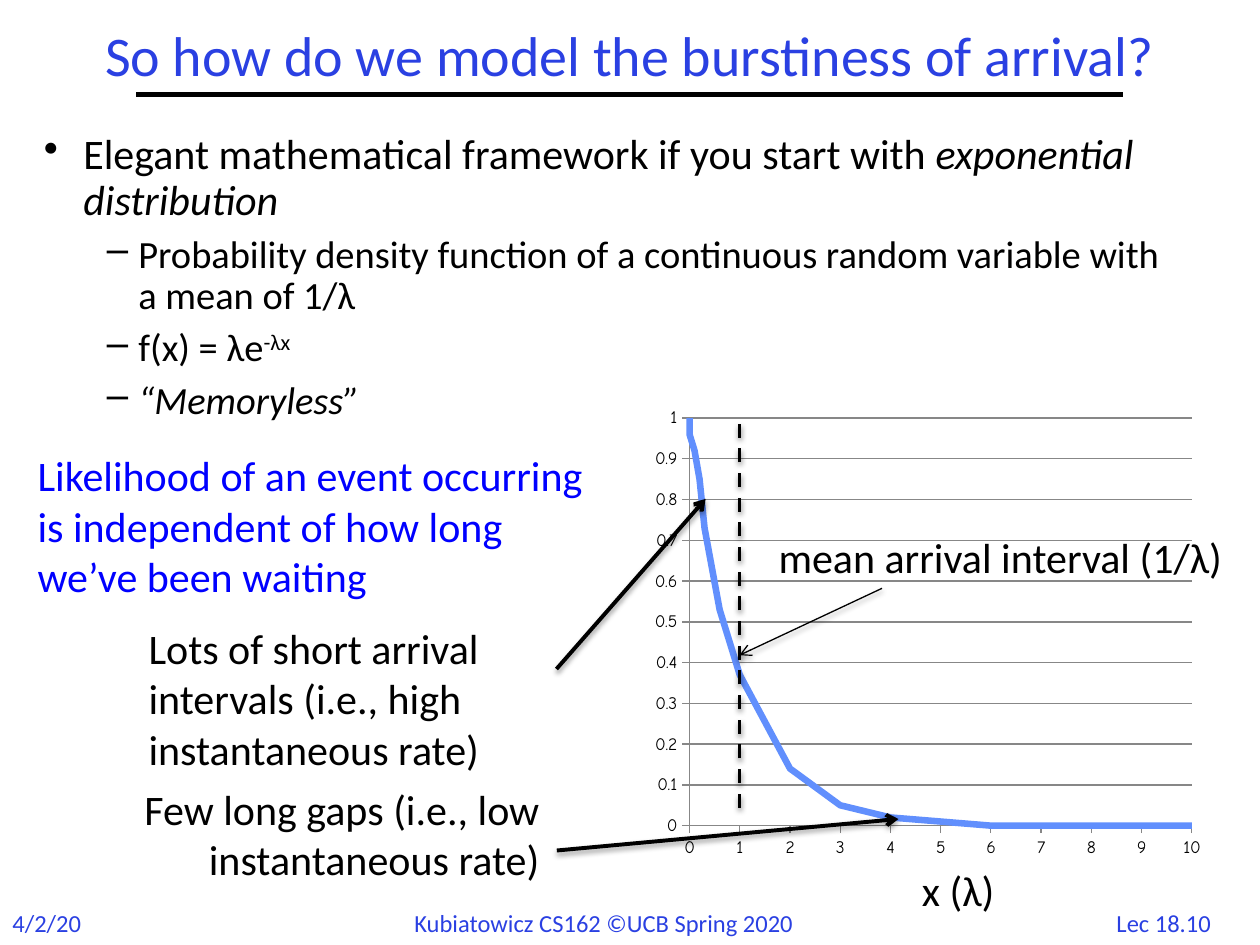
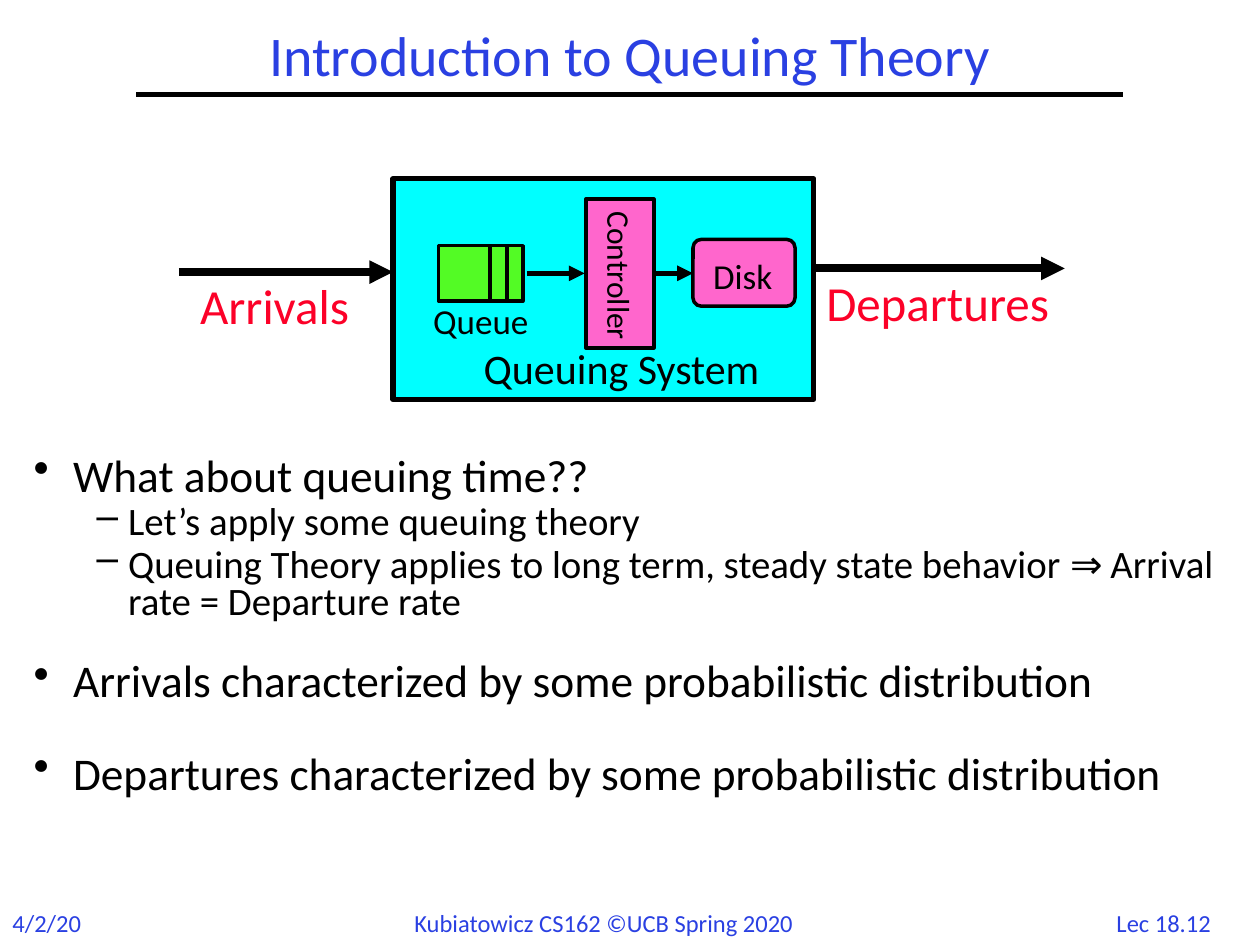
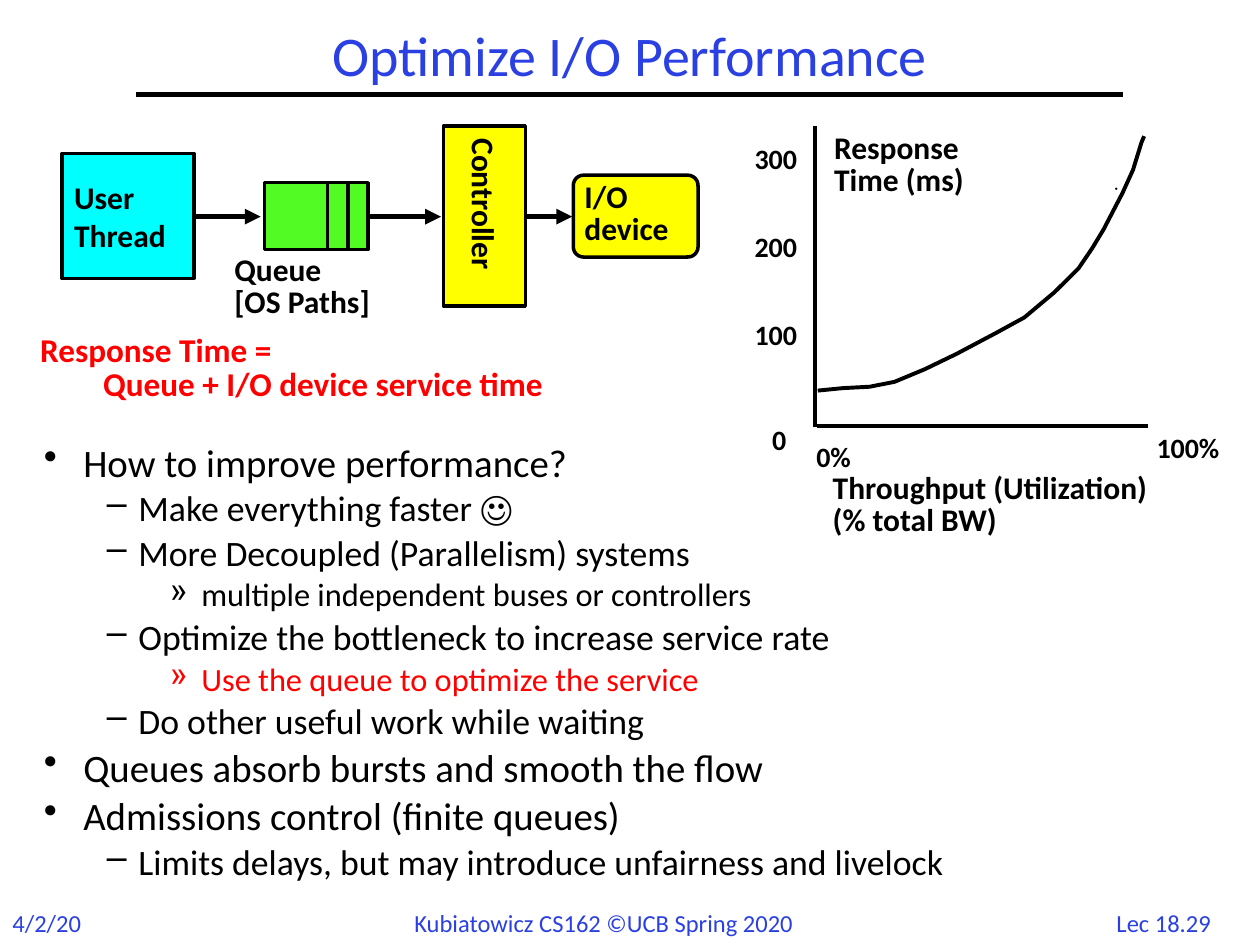
from dataclasses import dataclass
from typing import NamedTuple

from lxml.etree import SubElement
from pptx import Presentation
from pptx.chart.data import XyChartData
from pptx.dml.color import RGBColor
from pptx.enum.chart import XL_CHART_TYPE, XL_TICK_MARK
from pptx.enum.dml import MSO_LINE
from pptx.enum.shapes import MSO_CONNECTOR, MSO_SHAPE
from pptx.enum.text import MSO_ANCHOR, MSO_AUTO_SIZE, PP_ALIGN
from pptx.oxml import parse_xml
from pptx.oxml.ns import nsdecls, qn
from pptx.util import Pt

# Shared look
COLORS = {
    "black": "000000", "title": "2A40E2", "note": "0000FF", "flow": "FC0128",
    "red": "FF0000", "cyan": "00FFFF", "pink": "FF66CC", "green": "53FB25",
    "yellow": "FFFF00", "curve": "618FFD", "grid": "878787",
}
FONT = "Calibri"
CHART_FONT = "Comic Neue"
SLIDE_WIDTH, SLIDE_HEIGHT = 720, 540
WIDE_INSETS = (7.2, 3.6)
TIGHT_INSETS = (5, 2.2)
BULLETS = {0: ("•", 22.5, -22.5), 1: ("–", 54, -18), 2: ("»", 90, -18)}


class Box(NamedTuple):
    left: float
    top: float
    width: float
    height: float


@dataclass(frozen=True)
class Label:
    box: Box
    lines: tuple[str, ...]
    size: float = 24
    color: str = "black"
    bold: bool = False
    align: PP_ALIGN = PP_ALIGN.LEFT
    wrap: bool = False
    spacing: float = 1.0
    insets: tuple[float, float] = WIDE_INSETS


@dataclass(frozen=True)
class Block:
    box: Box
    fill: str
    kind: MSO_SHAPE = MSO_SHAPE.RECTANGLE
    line_width: float = 2
    lines: tuple[str, ...] = ()
    bold: bool = False
    vertical: bool = False


@dataclass(frozen=True)
class Line:
    start: tuple[float, float]
    end: tuple[float, float]
    width: float = 2
    arrow: str = ""
    dashed: bool = False
    shadow: bool = False


class Run(NamedTuple):
    text: str
    italic: bool = False
    superscript: bool = False


class Bullet(NamedTuple):
    level: int
    runs: tuple[Run, ...]
    color: str = "black"
    space_before: float | None = None


def rgb(name: str) -> RGBColor:
    return RGBColor.from_string(COLORS[name])


def in_points(values) -> list:
    return [Pt(value) for value in values]


# Drawing functions
def format_font(font, size: float, color: str, bold: bool = False) -> None:
    font.name = FONT
    font.size = Pt(size)
    font.bold = bold
    font.color.rgb = rgb(color)


def set_insets(text_frame, insets: tuple[float, float]) -> None:
    text_frame.margin_left = text_frame.margin_right = Pt(insets[0])
    text_frame.margin_top = text_frame.margin_bottom = Pt(insets[1])


def write_lines(text_frame, lines, size, color="black", bold=False,
                align=PP_ALIGN.LEFT, spacing=1.0) -> None:
    for index, line in enumerate(lines):
        paragraph = text_frame.add_paragraph() if index else text_frame.paragraphs[0]
        paragraph.text = line
        paragraph.alignment = align
        paragraph.line_spacing = spacing
        for run in paragraph.runs:
            format_font(run.font, size, color, bold)


def draw_label(slide, label: Label) -> None:
    text_frame = slide.shapes.add_textbox(*in_points(label.box)).text_frame
    text_frame.word_wrap = label.wrap
    text_frame.auto_size = MSO_AUTO_SIZE.SHAPE_TO_FIT_TEXT
    set_insets(text_frame, label.insets)
    write_lines(text_frame, label.lines, label.size, label.color, label.bold,
                label.align, label.spacing)


def draw_block(slide, block: Block) -> None:
    shape = slide.shapes.add_shape(block.kind, *in_points(block.box))
    shape.shadow.inherit = False
    shape.fill.solid()
    shape.fill.fore_color.rgb = rgb(block.fill)
    shape.line.color.rgb = rgb("black")
    shape.line.width = Pt(block.line_width)
    if block.kind == MSO_SHAPE.ROUNDED_RECTANGLE:
        shape.adjustments[0] = 0.125
    if block.lines:
        text_frame = shape.text_frame
        text_frame.word_wrap = False
        text_frame.vertical_anchor = MSO_ANCHOR.MIDDLE
        set_insets(text_frame, WIDE_INSETS)
        write_lines(text_frame, block.lines, 18, bold=block.bold)
        if block.vertical:
            shape._element.txBody.find(qn("a:bodyPr")).set("vert", "eaVert")


def draw_line(slide, line: Line) -> None:
    connector = slide.shapes.add_connector(
        MSO_CONNECTOR.STRAIGHT, *in_points(line.start + line.end))
    connector.line.color.rgb = rgb("black")
    connector.line.width = Pt(line.width)
    if line.dashed:
        connector.line.dash_style = MSO_LINE.DASH
    properties = connector._element.spPr
    if line.arrow:
        SubElement(properties.find(qn("a:ln")), qn("a:tailEnd"), type=line.arrow)
    effects = SubElement(properties, qn("a:effectLst"))
    if line.shadow:
        effects.append(parse_xml(
            f'<a:outerShdw {nsdecls("a")} blurRad="{Pt(3.1)}" dist="{Pt(1.6)}" '
            'dir="5400000" rotWithShape="0"><a:srgbClr val="000000">'
            '<a:alpha val="38000"/></a:srgbClr></a:outerShdw>'))


def draw_bullets(slide, box: Box, bullets, sizes, spacing: float, gap: float) -> None:
    text_frame = slide.shapes.add_textbox(*in_points(box)).text_frame
    text_frame.word_wrap = True
    set_insets(text_frame, WIDE_INSETS)
    for index, bullet in enumerate(bullets):
        paragraph = text_frame.add_paragraph() if index else text_frame.paragraphs[0]
        mark, margin, indent = BULLETS[bullet.level]
        size = sizes[bullet.level]
        properties = paragraph._p.get_or_add_pPr()
        properties.set("marL", str(Pt(margin)))
        properties.set("indent", str(Pt(indent)))
        SubElement(properties, qn("a:buChar"), char=mark)
        paragraph.level = bullet.level
        paragraph.line_spacing = spacing
        if index:
            before = gap * size if bullet.space_before is None else bullet.space_before
            paragraph.space_before = Pt(before)
        for part in bullet.runs:
            run = paragraph.add_run()
            run.text = part.text
            format_font(run.font, size, bullet.color)
            run.font.italic = part.italic
            if part.superscript:
                run.font._element.set("baseline", "30000")


def draw_queue(slide, box: Box) -> None:
    draw_block(slide, Block(box, "green"))
    for share in (0.61, 0.81):
        x = box.left + share * box.width
        draw_line(slide, Line((x, box.top + box.height), (x, box.top - 1)))


def add_slide(presentation, title: str, number: int, title_width: float = 564):
    slide = presentation.slides.add_slide(presentation.slide_layouts[5])
    shape = slide.shapes.title
    shape.left, shape.top, shape.width, shape.height = in_points(
        ((SLIDE_WIDTH - title_width) / 2, 12.2, title_width, 41.8))
    text_frame = shape.text_frame
    text_frame.auto_size = MSO_AUTO_SIZE.NONE
    text_frame.vertical_anchor = MSO_ANCHOR.MIDDLE
    set_insets(text_frame, WIDE_INSETS)
    write_lines(text_frame, (title,), 32, "title", align=PP_ALIGN.CENTER, spacing=0.9)
    draw_line(slide, Line((78, 54), (642, 54), 3))
    footers = (
        (Box(628, 515.5, 74, 24), f"Lec 18.{number}", PP_ALIGN.CENTER),
        (Box(0, 515.5, 54, 24), "4/2/20", PP_ALIGN.LEFT),
        (Box(229.7, 515.5, 261.4, 24), "Kubiatowicz CS162 ©UCB Spring 2020",
         PP_ALIGN.LEFT),
    )
    for box, text, align in footers:
        draw_label(slide, Label(box, (text,), 14, "title", align=align))
    return slide


def draw_density_chart(slide, box: Box) -> None:
    data = XyChartData()
    series = data.add_series("Series 1")
    x_values = (0, 0, 0, 0, 0.1, 0.2, 0.3, 0.6, 1, 2, 3, 4, 5, 6, 7, 8, 10)
    densities = (1, 0.99, 0.98, 0.96, 0.92, 0.85, 0.73, 0.53, 0.37,
                 0.14, 0.05, 0.02, 0.01, 0, 0, 0, 0)
    for x, density in zip(x_values, densities):
        series.add_data_point(x, density)
    chart = slide.shapes.add_chart(
        XL_CHART_TYPE.XY_SCATTER_LINES_NO_MARKERS, *in_points(box), data).chart
    chart.has_legend = False
    chart.has_title = False
    chart.font.name = CHART_FONT
    chart.font.size = Pt(10)
    chart.font.color.rgb = rgb("black")
    plot = chart.plots[0]
    plot.vary_by_categories = False
    curve = plot.series[0]
    curve.smooth = False
    curve.format.line.color.rgb = rgb("curve")
    curve.format.line.width = Pt(3.75)

    for axis, maximum, step in ((chart.category_axis, 10, 1), (chart.value_axis, 1, 0.1)):
        axis.minimum_scale, axis.maximum_scale = 0, maximum
        axis.major_unit = step
        axis.major_tick_mark = XL_TICK_MARK.OUTSIDE
        axis.minor_tick_mark = XL_TICK_MARK.NONE
        axis.tick_labels.number_format = "General"
        axis.tick_labels.number_format_is_linked = False
        axis.format.line.color.rgb = rgb("grid")
    chart.category_axis.has_major_gridlines = False
    chart.value_axis.has_major_gridlines = True
    chart.value_axis.major_gridlines.format.line.color.rgb = rgb("grid")

    # Fixed inner plot area
    plot_area = chart._chartSpace.chart.plotArea
    for old_layout in plot_area.findall(qn("c:layout")):
        plot_area.remove(old_layout)
    places = "".join(f'<c:{key} val="{value}"/>' for key, value in (
        ("layoutTarget", "inner"), ("xMode", "edge"), ("yMode", "edge"),
        ("x", 0.08), ("y", 0.04), ("w", 0.88), ("h", 0.87)))
    plot_area.insert(0, parse_xml(
        f'<c:layout {nsdecls("c")}><c:manualLayout>{places}</c:manualLayout></c:layout>'))


# Slides
def build_burstiness(presentation) -> None:
    slide = add_slide(presentation, "So how do we model the burstiness of arrival?", 10, 668)
    draw_bullets(slide, Box(18, 72.7, 666, 410), (
        Bullet(0, (Run("Elegant mathematical framework if you start with "),
                   Run("exponential distribution", italic=True))),
        Bullet(1, (Run("Probability density function of a continuous random "
                       "variable with a mean of 1/λ"),)),
        Bullet(1, (Run("f(x) = λe"), Run("-λx", superscript=True))),
        Bullet(1, (Run("“Memoryless”", italic=True),)),
    ), (24, 22), 0.9, 0.28)
    draw_density_chart(slide, Box(367.9, 228.2, 326.2, 267.8))
    for label in (
        Label(Box(14.4, 253.4, 336.2, 94.3),
              ("Likelihood of an event occurring is independent of how long "
               "we’ve been waiting",), color="note", wrap=True),
        Label(Box(77.8, 352.1, 290.9, 94.3),
              ("Lots of short arrival intervals (i.e., high instantaneous rate)",),
              wrap=True),
        Label(Box(43.9, 444.2, 271.4, 65.5),
              ("Few long gaps (i.e., low instantaneous rate)",),
              align=PP_ALIGN.RIGHT, wrap=True),
        Label(Box(519.8, 490.3, 60.5, 36), ("x (λ)",)),
        Label(Box(437.8, 300.2, 274.3, 36), ("mean arrival interval (1/λ)",)),
    ):
        draw_label(slide, label)
    for line in (
        Line((318, 382.3), (403.2, 285.1), 2.25, "arrow", shadow=True),
        Line((318.2, 486), (513.4, 468), 2.25, "arrow", shadow=True),
        Line((422.6, 461.5), (422.6, 239.8), dashed=True, shadow=True),
        Line((504, 336.2), (422.6, 374.4), 0.75, "arrow", shadow=True),
    ):
        draw_line(slide, line)


def build_queuing_theory(presentation) -> None:
    slide = add_slide(presentation, "Introduction to Queuing Theory", 12)
    # Flow in and out of the system
    draw_label(slide, Label(Box(465.1, 151.9, 145.4, 41), ("Departures",), 28, "flow"))
    draw_label(slide, Label(Box(107.3, 154.1, 103, 41), ("Arrivals",), 28, "flow"))
    draw_line(slide, Line((455.8, 153.4), (608.4, 153.4), 4.5, "triangle"))
    draw_line(slide, Line((102.2, 155.5), (224.6, 155.5), 4.5, "triangle"))
    draw_block(slide, Block(Box(224.6, 102.2, 240.5, 126), "cyan", line_width=3))
    draw_label(slide, Label(Box(269.3, 192.2, 174.2, 36), ("Queuing System",)))

    # Parts of the system
    draw_block(slide, Block(Box(396, 136.8, 58.3, 38.2), "pink",
                            MSO_SHAPE.ROUNDED_RECTANGLE))
    draw_queue(slide, Box(250.6, 140.4, 48.2, 31.7))
    draw_block(slide, Block(Box(334.8, 113.8, 38.9, 85), "pink",
                            lines=("Controller",), vertical=True))
    for box, text in ((Box(242.6, 172.8, 67, 46), "Queue"),
                      (Box(402.5, 146.9, 47.5, 25.2), "Disk")):
        draw_label(slide, Label(box, (text,), 20, spacing=0.85, insets=TIGHT_INSETS))
    for start, end in ((301, 334.1), (373.7, 396)):
        draw_line(slide, Line((start, 156.2), (end, 156.2), 3, "triangle"))

    draw_bullets(slide, Box(12.2, 257.8, 696.2, 259.2), (
        Bullet(0, (Run("What about queuing time??"),)),
        Bullet(1, (Run("Let’s apply some queuing theory"),)),
        Bullet(1, (Run("Queuing Theory applies to long term, steady state behavior "
                       "⇒ Arrival rate = Departure rate"),)),
        Bullet(0, (Run("Arrivals characterized by some probabilistic distribution"),),
               space_before=23),
        Bullet(0, (Run("Departures characterized by some probabilistic distribution"),),
               space_before=28),
    ), (25.9, 22.2), 0.8, 0.13)


def draw_response_plot(slide) -> None:
    draw_line(slide, Line((465.8, 244), (465.8, 72)))
    draw_line(slide, Line((466.6, 243.4), (656, 243.4)))
    ticks = [(Box(655.9, 246.2, 52.6, 21.6), "100%"),
             (Box(461.5, 251.3, 33.8, 21.6), "0%"),
             (Box(436.3, 241.2, 18.7, 21.6), "0")]
    ticks += [(Box(426.2, 231.8 - 50.4 * step, 36.7, 21.6), str(100 * step))
              for step in (1, 2, 3)]
    for box, text in ticks:
        draw_label(slide, Label(box, (text,), 16, bold=True, spacing=0.9,
                                insets=TIGHT_INSETS))
    for box, lines in (
        (Box(471.6, 74.2, 97.2, 41.8), ("Response", "Time (ms)")),
        (Box(470.9, 268.6, 227.5, 41), ("Throughput (Utilization)", "(% total BW)")),
    ):
        draw_label(slide, Label(box, lines, 18, bold=True, spacing=0.85,
                                insets=TIGHT_INSETS))

    points = [(467.3, 223.2), (481.7, 221.8), (497, 221), (511.2, 218.2),
              (528.5, 211), (546.5, 202.3), (569.5, 190.1), (585.4, 181.4),
              (602.6, 167), (616.3, 153.4), (624.2, 141.8), (630.7, 131),
              (641.5, 110.2), (647.5, 97), (652.3, 81.4), (653.8, 77.8)]
    start, *rest = [tuple(in_points(point)) for point in points]
    builder = slide.shapes.build_freeform(*start)
    builder.add_line_segments(rest, close=False)
    curve = builder.convert_to_shape()
    curve.shadow.inherit = False
    curve.fill.background()
    curve.line.color.rgb = rgb("black")
    curve.line.width = Pt(2.25)
    draw_block(slide, Block(Box(637.5, 107.5, 0.75, 0.75), "black", MSO_SHAPE.OVAL, 0.5))


def build_performance(presentation) -> None:
    slide = add_slide(presentation, "Optimize I/O Performance", 29)
    draw_bullets(slide, Box(18, 252, 680.4, 270.7), (
        Bullet(0, (Run("How to improve performance?"),)),
        Bullet(1, (Run("Make everything faster ☺"),)),
        Bullet(1, (Run("More Decoupled (Parallelism) systems"),)),
        Bullet(2, (Run("multiple independent buses or controllers"),)),
        Bullet(1, (Run("Optimize the bottleneck to increase service rate"),)),
        Bullet(2, (Run("Use the queue to optimize the service"),), "red"),
        Bullet(1, (Run("Do other useful work while waiting"),)),
        Bullet(0, (Run("Queues absorb bursts and smooth the flow"),)),
        Bullet(0, (Run("Admissions control (finite queues)"),)),
        Bullet(1, (Run("Limits delays, but may introduce unfairness and livelock"),)),
    ), (22.2, 20.4, 18.5), 0.8, 0.28)

    # Request path
    for start, end in ((102.2, 149), (211.7, 252), (300.2, 326.9)):
        draw_line(slide, Line((start, 123.8), (end, 123.8), 3, "triangle"))
    for block in (
        Block(Box(327.6, 100.1, 71.3, 46.8), "yellow", MSO_SHAPE.ROUNDED_RECTANGLE),
        Block(Box(35.3, 87.8, 75.6, 71.3), "cyan", lines=("User", "Thread"), bold=True),
        Block(Box(253.4, 72, 46.8, 103), "yellow", lines=("Controller",), bold=True,
              vertical=True),
    ):
        draw_block(slide, block)
    draw_queue(slide, Box(151.2, 104.4, 59, 38.2))
    for box, lines in ((Box(128.9, 144, 106.6, 41), ("Queue", "[OS Paths]")),
                       (Box(329, 102.2, 67, 41.8), ("I/O", "device"))):
        draw_label(slide, Label(box, lines, 18, bold=True, spacing=0.85,
                                insets=TIGHT_INSETS))
    draw_label(slide, Label(
        Box(18, 189.4, 480.2, 43.2),
        ("Response Time =\n\tQueue + I/O device service time",), 19, "red", True,
        wrap=True, spacing=0.85, insets=TIGHT_INSETS))
    draw_response_plot(slide)


def main() -> None:
    presentation = Presentation()
    presentation.slide_width = Pt(SLIDE_WIDTH)
    presentation.slide_height = Pt(SLIDE_HEIGHT)
    build_burstiness(presentation)
    build_queuing_theory(presentation)
    build_performance(presentation)
    presentation.save("out.pptx")


if __name__ == "__main__":
    main()
